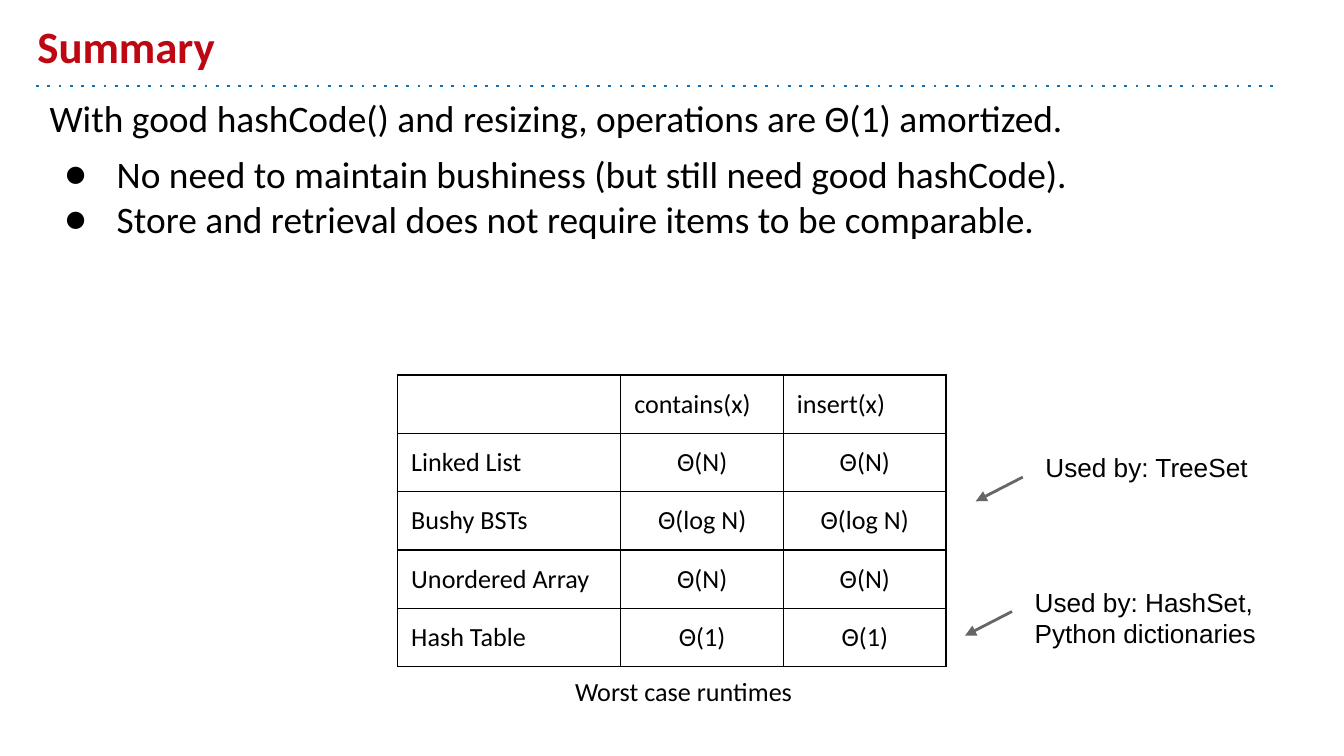
import pptx
import pptx.util
import pptx.dml.color
import pptx.enum.shapes
import pptx.enum.text
import pptx.oxml.ns
from lxml import etree

Inches = pptx.util.Inches
Pt = pptx.util.Pt
Align = pptx.enum.text.PP_ALIGN
Anchor = pptx.enum.text.MSO_ANCHOR

ROWS = [
    ("", "contains(x)", "insert(x)"),
    ("Linked List", "Θ(N)", "Θ(N)"),
    ("Bushy BSTs", "Θ(log N)", "Θ(log N)"),
    ("Unordered Array", "Θ(N)", "Θ(N)"),
    ("Hash Table", "Θ(1)", "Θ(1)"),
]
WIDTHS = (1.66, 1.21, 1.21)
HEIGHTS = (0.41, 0.42, 0.42, 0.42, 0.42)
BODY = {"name": "Calibri", "size": Pt(20)}
CELL = {"name": "Calibri", "size": Pt(14)}
NOTE = {"name": "Arial", "size": Pt(14)}
HEAD = {"name": "Calibri", "size": Pt(24), "bold": True}
INSET = {"margin_" + side: Inches(0.1)
         for side in ("left", "right", "top", "bottom")}


def color(code):
    return pptx.dml.color.RGBColor.from_string(code)


def sub(node, tag, **attrs):
    return etree.SubElement(node, pptx.oxml.ns.qn("a:" + tag), **attrs)


def style(obj, form):
    for key, value in form.items():
        setattr(obj, key, value)


def write(para, text, form, code="000000"):
    run = para.add_run()
    run.text = text
    style(run.font, form)
    run.font.color.rgb = color(code)


def add_text(slide, box, lines, form, code="000000", anchor=Anchor.TOP):
    frame = slide.shapes.add_textbox(*map(Inches, box)).text_frame
    style(frame, {"word_wrap": True, "vertical_anchor": anchor, **INSET})
    for i, line in enumerate(lines):
        para = frame.add_paragraph() if i else frame.paragraphs[0]
        write(para, line, form, code)
    return frame


def add_bullet(para):
    props = para._p.get_or_add_pPr()
    props.set("marL", str(Inches(0.5)))
    props.set("indent", str(Inches(-0.39)))
    sub(sub(props, "buClr"), "srgbClr", val="000000")
    sub(props, "buFont", typeface="Calibri")
    sub(props, "buChar", char="●")


def add_line(slide, start, end, code, tag, **attrs):
    kind = pptx.enum.shapes.MSO_CONNECTOR.STRAIGHT
    line = slide.shapes.add_connector(kind, *map(Inches, start + end))
    line.line.color.rgb = color(code)
    line.line.width = Pt(1.5)
    sub(line.line._get_or_add_ln(), tag, **attrs)
    sub(line._element.spPr, "effectLst")


def add_border(cell):
    props = cell._tc.get_or_add_tcPr()
    for side in ("lnL", "lnR", "lnT", "lnB"):
        edge = sub(props, side, w=str(Pt(0.75)))
        sub(sub(edge, "solidFill"), "srgbClr", val="000000")


def add_grid(slide, box):
    frame = slide.shapes.add_table(
        len(ROWS), len(WIDTHS), *map(Inches, box))
    table = frame.table
    style(table, {"first_row": False, "horz_banding": False})
    for col, width in zip(table.columns, WIDTHS):
        col.width = Inches(width)
    for row, height in zip(table.rows, HEIGHTS):
        row.height = Inches(height)
    # Rows stretch to fill the full frame
    frame.height = Inches(box[3])
    for r, row in enumerate(ROWS):
        for c, text in enumerate(row):
            cell = table.cell(r, c)
            style(cell, INSET)
            add_border(cell)
            cell.fill.background()
            para = cell.text_frame.paragraphs[0]
            if text:
                write(para, text, CELL)
            else:
                # Keeps the empty corner from growing its row
                sub(para._p, "endParaRPr", sz="1400")
            if r and c:
                para.alignment = Align.CENTER


def main():
    deck = pptx.Presentation()
    wide = Inches(10)
    style(deck, {"slide_width": wide, "slide_height": wide * 9 // 16})
    slide = deck.slides.add_slide(deck.slide_layouts[6])

    # Title and rule
    add_line(slide, (0.27, 0.64), (9.5, 0.64), "1072BD", "prstDash", val="dot")
    add_text(slide, (0.18, 0.1, 9, 0.54), ["Summary"], HEAD, "BE0712",
             Anchor.BOTTOM)

    # Main points
    body = add_text(slide, (0.27, 0.61, 9.45, 4.54), [
        "With good hashCode() and resizing, operations are Θ(1) amortized.",
        "No need to maintain bushiness (but still need good hashCode).",
        "Store and retrieval does not require items to be comparable.",
    ], BODY)
    for para in body.paragraphs[1:]:
        add_bullet(para)
    body.paragraphs[1].space_before = Pt(6)

    # Runtime table and caption
    add_grid(slide, (2.96, 2.79, 4.09, 2.17))
    add_text(slide, (4.18, 5.01, 2.29, 0.27), ["Worst case runtimes"], CELL,
             anchor=Anchor.MIDDLE)

    # Side notes with arrows
    add_text(slide, (7.68, 3.26, 1.79, 0.27), ["Used by: TreeSet"], NOTE)
    add_text(slide, (7.6, 4.26, 2.12, 0.76),
             ["Used by: HashSet,", "Python dictionaries"], NOTE)
    for x, y in ((7.61, 3.55), (7.53, 4.55)):
        add_line(slide, (x, y), (x - 0.35, y + 0.18), "666666", "tailEnd",
                 type="triangle")

    deck.save("out.pptx")


if __name__ == "__main__":
    main()
